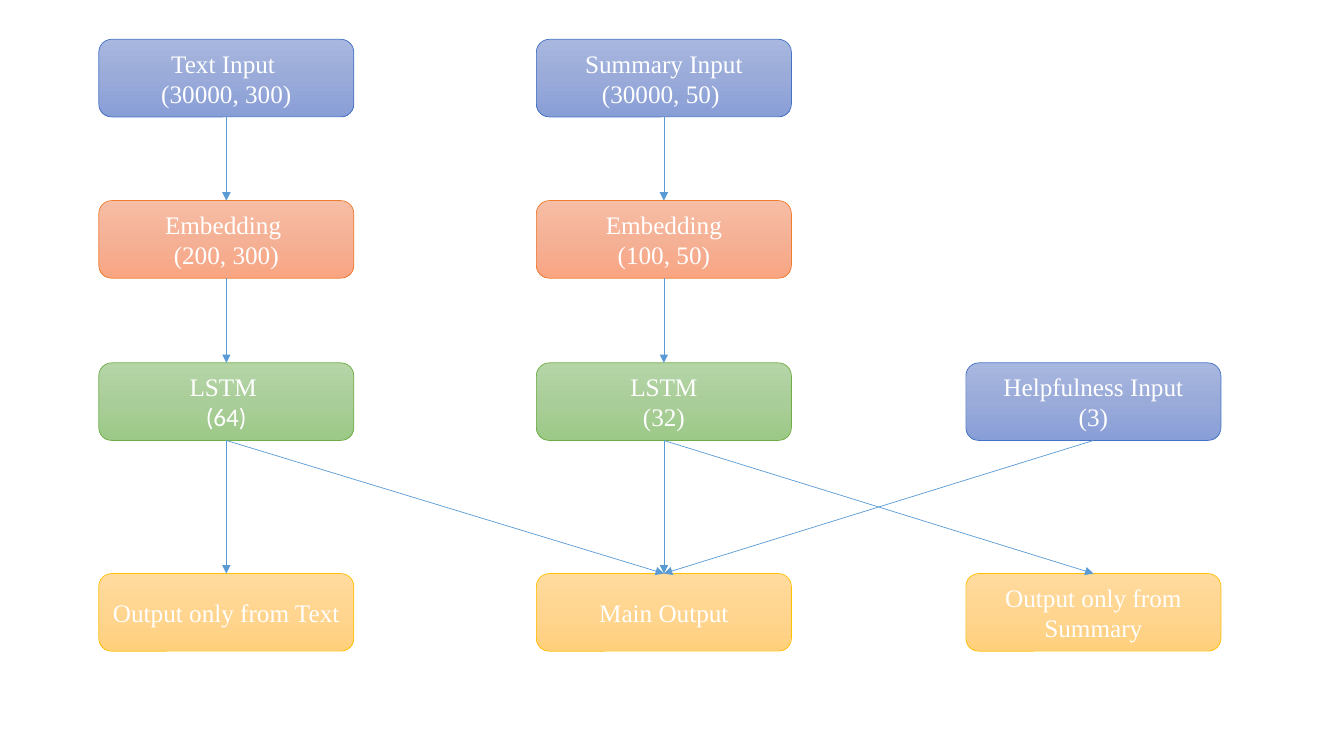
import copy

import pptx
import pptx.dml.color
import pptx.enum.shapes
import pptx.enum.text
import pptx.oxml
import pptx.oxml.ns
import pptx.util

# Content: gradient (top, middle, bottom) and outline for each kind of layer
STYLES = {
    "input": (("A8B7DF", "9AABD9", "889ED7"), "4472C4"),
    "embedding": (("F7BDA5", "F5B196", "F8A582"), "ED7D31"),
    "lstm": (("B5D5A7", "AACE9A", "9CC987"), "70AD47"),
    "output": (("FFDB9E", "FFD590", "FFD07C"), "FFC000"),
}
# name: (kind, column, row, paragraphs)
LAYERS = {
    "text input": ("input", 0, 0, ["Text Input ", "(30000, 300)"]),
    "summary input": ("input", 1, 0, ["Summary Input (30000, 50) "]),
    "text embedding": ("embedding", 0, 1, ["Embedding ", "(200, 300)"]),
    "summary embedding": ("embedding", 1, 1, ["Embedding", "(100, 50)"]),
    "text lstm": ("lstm", 0, 2, ["LSTM ", "(64)"]),
    "summary lstm": ("lstm", 1, 2, ["LSTM", "(32)"]),
    "text output": ("output", 0, 3, ["Output only from Text "]),
    "main output": ("output", 1, 3, ["Main Output"]),
    "summary output": ("output", 2, 3, ["Output only from Summary"]),
    "helpfulness input": ("input", 2, 2, ["Helpfulness Input", "(3)"]),
}
LINKS = [
    ("text input", "text embedding"),
    ("summary input", "summary embedding"),
    ("text embedding", "text lstm"),
    ("text lstm", "text output"),
    ("summary embedding", "summary lstm"),
    ("summary lstm", "main output"),
    ("text lstm", "main output"),
    ("summary lstm", "summary output"),
    ("helpfulness input", "main output"),
]
OTHER_FONTS = {"(64)": "Calibri"}
ARROW_COLOR = "5B9BD5"

# Grid, in inches
COLUMNS = (0.98, 5.32, 9.58)
ROWS = (0.39, 1.99, 3.6, 5.69)
BOX_WIDTH, BOX_HEIGHT = 2.53, 0.77
BOTTOM_SITE, TOP_SITE = 2, 0


def color(hex_string):
    return pptx.dml.color.RGBColor.from_string(hex_string)


def set_line(line, hex_string):
    line.color.rgb = color(hex_string)
    line.width = pptx.util.Pt(0.5)


def set_gradient(shape, hex_strings):
    fill = shape.fill
    fill.gradient()
    fill.gradient_angle = 270
    stop_list = shape._element.spPr.xpath(".//a:gsLst")[0]
    stop_list.insert(1, copy.deepcopy(stop_list[0]))
    for index, (stop, hex_string) in enumerate(zip(fill.gradient_stops, hex_strings)):
        stop.position = index / 2
        stop.color.rgb = color(hex_string)


def add_text(paragraph, text, font="Times New Roman", size=18, text_color="FFFFFF"):
    paragraph.alignment = pptx.enum.text.PP_ALIGN.CENTER
    run = paragraph.add_run()
    run.text = text
    run.font.name = font
    run.font.size = pptx.util.Pt(size)
    run.font.color.rgb = color(text_color)


def add_layer(slide, kind, column, row, texts):
    place = (COLUMNS[column], ROWS[row], BOX_WIDTH, BOX_HEIGHT)
    shape = slide.shapes.add_shape(
        pptx.enum.shapes.MSO_SHAPE.ROUNDED_RECTANGLE, *map(pptx.util.Inches, place))
    shape.shadow.inherit = False
    gradient, outline = STYLES[kind]
    set_gradient(shape, gradient)
    set_line(shape.line, outline)
    frame = shape.text_frame
    frame.word_wrap = True
    frame.vertical_anchor = pptx.enum.text.MSO_ANCHOR.MIDDLE
    for index, text in enumerate(texts):
        paragraph = frame.add_paragraph() if index else frame.paragraphs[0]
        add_text(paragraph, text, font=OTHER_FONTS.get(text, "Times New Roman"))
    return shape


def add_arrow(slide, source, target):
    arrow = slide.shapes.add_connector(
        pptx.enum.shapes.MSO_CONNECTOR.STRAIGHT, 0, 0, 0, 0)
    arrow.begin_connect(source, BOTTOM_SITE)
    arrow.end_connect(target, TOP_SITE)
    set_line(arrow.line, ARROW_COLOR)
    namespace = pptx.oxml.ns.nsdecls("a")
    arrow.line._get_or_add_ln().append(
        pptx.oxml.parse_xml(f'<a:tailEnd {namespace} type="triangle"/>'))
    arrow._element.spPr.append(pptx.oxml.parse_xml(f"<a:effectLst {namespace}/>"))


def main():
    presentation = pptx.Presentation()
    presentation.slide_width = pptx.util.Inches(13.33)
    presentation.slide_height = pptx.util.Inches(7.5)
    slide = presentation.slides.add_slide(presentation.slide_layouts[6])

    # Layers, then the arrows between them
    shapes = {name: add_layer(slide, *layer) for name, layer in LAYERS.items()}
    for source, target in LINKS:
        add_arrow(slide, shapes[source], shapes[target])

    presentation.save("out.pptx")


if __name__ == "__main__":
    main()
